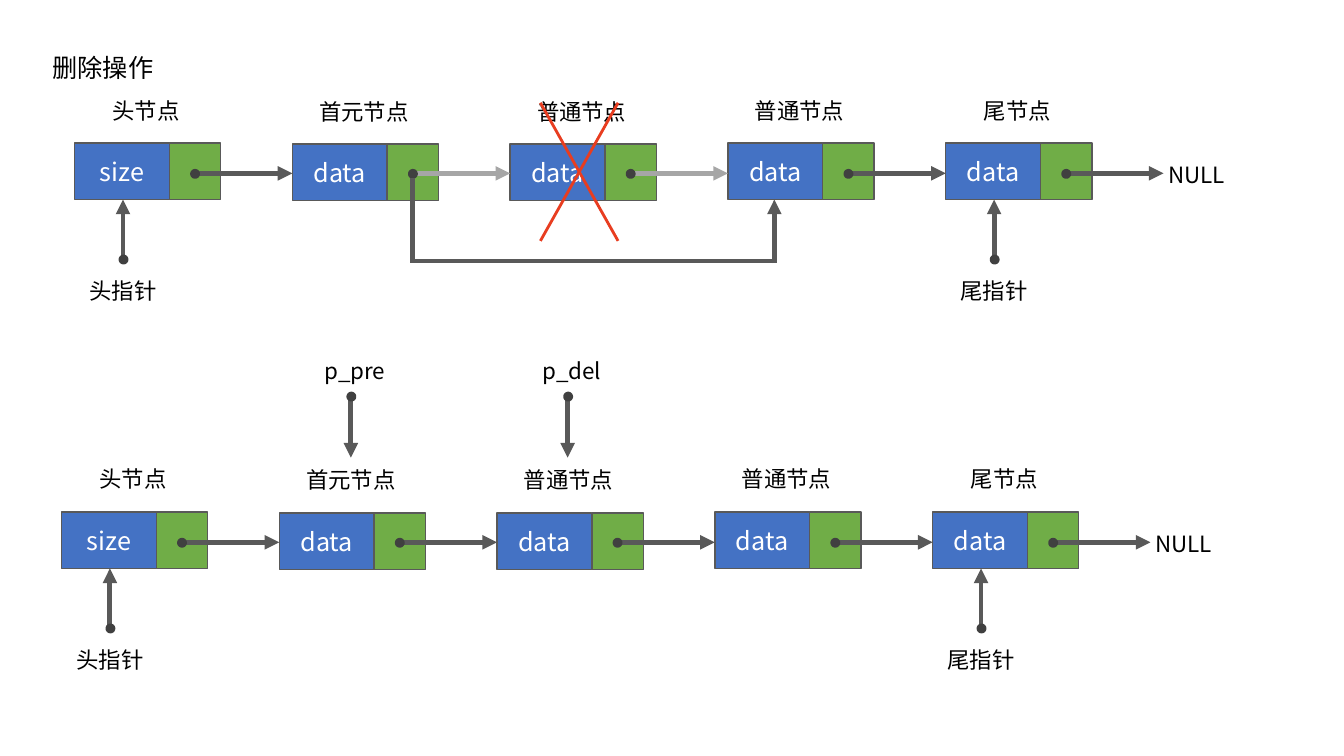
import pptx
import pptx.util
import pptx.dml.color
import pptx.enum.shapes
import pptx.enum.text
import pptx.oxml.ns
import lxml.etree
from pptx.util import Inches

FONT = "Noto Sans CJK SC"
BLACK = pptx.dml.color.RGBColor(0x00, 0x00, 0x00)
WHITE = pptx.dml.color.RGBColor(0xFF, 0xFF, 0xFF)
BLUE = pptx.dml.color.RGBColor(0x44, 0x72, 0xC4)
GREEN = pptx.dml.color.RGBColor(0x70, 0xAD, 0x47)
DARK = pptx.dml.color.RGBColor(0x59, 0x59, 0x59)
DOT = pptx.dml.color.RGBColor(0x40, 0x40, 0x40)
FADED = pptx.dml.color.RGBColor(0xA6, 0xA6, 0xA6)
RED = pptx.dml.color.RGBColor(0xE8, 0x3D, 0x20)

NODES = [
    ("头节点", "size", 0),
    ("首元节点", "data", 0.01),
    ("普通节点", "data", 0.01),
    ("普通节点", "data", 0),
    ("尾节点", "data", 0),
]
PITCH = 2.16
DATA_WIDTH = 0.94
NEXT_WIDTH = 0.51
NODE_HEIGHT = 0.56
LINK_X = 1.19
LINK_Y = 0.3
POINTER_X = 0.48


def add_child(parent, tag, **attributes):
    """Append a DrawingML element to the given parent."""
    return lxml.etree.SubElement(parent, pptx.oxml.ns.qn(tag), **attributes)


def write_text(frame, text, size, color, alignment):
    """Write one run of text into a text frame."""
    frame.word_wrap = True
    paragraph = frame.paragraphs[0]
    paragraph.alignment = alignment
    run = paragraph.add_run()
    run.text = text
    run.font.size = pptx.util.Pt(size)
    run.font.color.rgb = color
    run.font.name = FONT
    add_child(run.font._element, "a:ea", typeface=FONT)


def add_title(slide, text):
    """Place the slide title at the upper left."""
    title = slide.shapes.title
    title.left, title.top = Inches(0.42), Inches(0.47)
    title.width, title.height = Inches(3.66), Inches(0.4)
    frame = title.text_frame
    frame.vertical_anchor = pptx.enum.text.MSO_ANCHOR.TOP
    frame.auto_size = pptx.enum.text.MSO_AUTO_SIZE.SHAPE_TO_FIT_TEXT
    write_text(frame, text, 18, BLACK, pptx.enum.text.PP_ALIGN.LEFT)


def add_label(slide, text, center, top):
    """Add a caption centred on a horizontal position."""
    width = 1.3 if len(text) > 3 else 1.04
    box = slide.shapes.add_textbox(
        Inches(center - width / 2), Inches(top), Inches(width), Inches(0.37)
    )
    box.text_frame.auto_size = pptx.enum.text.MSO_AUTO_SIZE.SHAPE_TO_FIT_TEXT
    write_text(box.text_frame, text, 16, BLACK, pptx.enum.text.PP_ALIGN.CENTER)


def add_filled_shape(slide, kind, bounds, fill, line, line_width):
    """Add a preset shape with a solid fill and outline."""
    shape = slide.shapes.add_shape(kind, *map(Inches, bounds))
    shape.shadow.inherit = False
    shape.fill.solid()
    shape.fill.fore_color.rgb = fill
    shape.line.color.rgb = line
    shape.line.width = pptx.util.Pt(line_width)
    return shape


def add_line(slide, start, end, color=DARK, width=3.5, arrow=False):
    """Add a straight line, with an arrowhead at its end if asked."""
    connector = slide.shapes.add_connector(
        pptx.enum.shapes.MSO_CONNECTOR.STRAIGHT, *map(Inches, start + end)
    )
    connector.line.color.rgb = color
    connector.line.width = pptx.util.Pt(width)
    if arrow:
        add_child(connector.line._get_or_add_ln(), "a:tailEnd", type="triangle")
    add_child(connector._element.spPr, "a:effectLst")


def add_pointer(slide, start, end, color=DARK):
    """Add an arrow that begins with a round dot."""
    add_line(slide, start, end, color, arrow=True)
    x, y = start
    bounds = (x - 0.02, y - 0.02, 0.05, 0.05)
    oval = pptx.enum.shapes.MSO_SHAPE.OVAL
    add_filled_shape(slide, oval, bounds, DOT, DOT, 3.5)


def add_node(slide, left, top, text):
    """Add a list node made of a data cell and a next cell."""
    rectangle = pptx.enum.shapes.MSO_SHAPE.RECTANGLE
    bounds = (left, top, DATA_WIDTH, NODE_HEIGHT)
    data = add_filled_shape(slide, rectangle, bounds, BLUE, DARK, 1)
    data.text_frame.vertical_anchor = pptx.enum.text.MSO_ANCHOR.MIDDLE
    write_text(data.text_frame, text, 18, WHITE, pptx.enum.text.PP_ALIGN.CENTER)
    bounds = (left + DATA_WIDTH, top, NEXT_WIDTH, NODE_HEIGHT)
    add_filled_shape(slide, rectangle, bounds, GREEN, DARK, 1)


def add_linked_list(slide, left, top, link_colors):
    """Draw the nodes, their links and the head and tail pointers."""
    lefts = [left + index * PITCH for index in range(len(NODES))]
    for x, (name, text, drop) in zip(lefts, NODES):
        add_node(slide, x, top + drop, text)
        add_label(slide, name, x + 0.71, top - 0.51 + drop)
    for x, color in zip(lefts, link_colors):
        y = top + LINK_Y
        add_pointer(slide, (x + LINK_X, y), (x + PITCH, y), color)
    for x, text in ((lefts[0], "头指针"), (lefts[-1], "尾指针")):
        x += POINTER_X
        add_pointer(slide, (x, top + 1.15), (x, top + NODE_HEIGHT))
        add_label(slide, text, x, top + 1.28)
    add_label(slide, "NULL", lefts[-1] + 2.49, top + 0.13)


def add_detour(slide):
    """Draw the new link that bypasses the deleted node."""
    add_line(slide, (7.68, 2.61), (7.68, 1.98), arrow=True)
    add_line(slide, (4.09, 2.59), (7.7, 2.59))
    add_line(slide, (4.09, 1.77), (4.09, 2.61))


def add_cross(slide):
    """Strike out the deleted node."""
    add_line(slide, (5.36, 1.02), (6.13, 2.39), RED, 2)
    add_line(slide, (6.13, 1.02), (5.36, 2.39), RED, 2)


def main():
    """Build and save the slide."""
    presentation = pptx.Presentation()
    presentation.slide_width = Inches(13.33)
    presentation.slide_height = Inches(7.5)
    slide = presentation.slides.add_slide(presentation.slide_layouts[5])
    add_title(slide, "删除操作")
    add_linked_list(slide, 0.74, 1.42, [DARK, FADED, FADED, DARK, DARK])
    add_detour(slide)
    add_cross(slide)
    add_linked_list(slide, 0.61, 5.08, [DARK] * len(NODES))
    for x, name in ((3.48, "p_pre"), (5.63, "p_del")):
        add_pointer(slide, (x, 3.93), (x, 4.54))
        add_label(slide, name, x + 0.04, 3.49)
    presentation.save("out.pptx")


if __name__ == "__main__":
    main()
